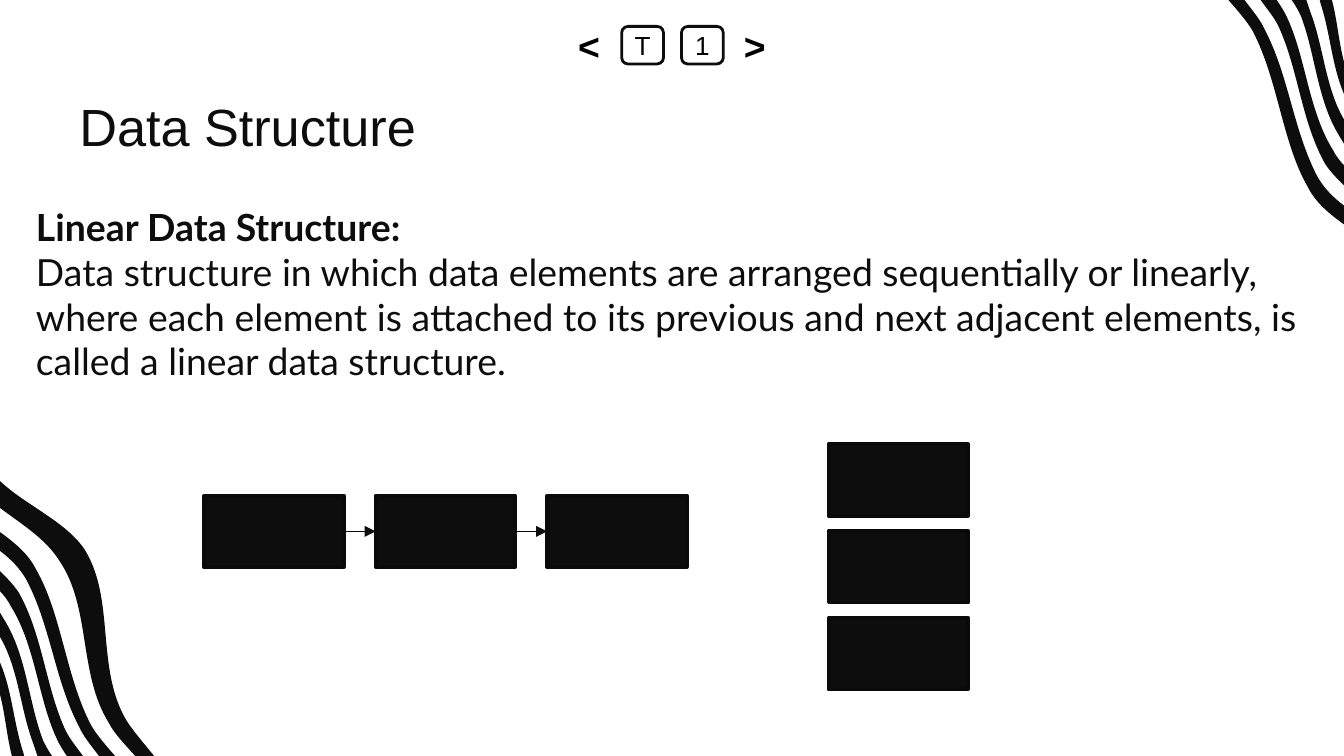
"""Build the linear data structure slide with wave corners and box diagrams."""
from lxml.etree import Element, SubElement
from pptx import Presentation
from pptx.dml.color import RGBColor
from pptx.enum.shapes import MSO_CONNECTOR, MSO_SHAPE
from pptx.enum.text import MSO_ANCHOR, PP_ALIGN
from pptx.oxml.ns import qn
from pptx.util import Cm, Pt

INK = "0D0D0D"
W, H = 1000, 563


def rgb(color):
    return RGBColor.from_string(color)


def curve(outline, lines):
    for i in range(0, len(lines), 3):
        bez = Element(qn("a:cubicBezTo"))
        lines[i].addprevious(bez)
        for ln in lines[i:i + 3]:
            bez.append(ln[0])
            outline.remove(ln)


prs = Presentation()
prs.slide_width, prs.slide_height = Cm(25.4), Cm(14.29)
s = prs.slides.add_slide(prs.slide_layouts[6])

waves = [
    ([(0, 378), (16, 390), (34, 401), (44, 417), (68, 452), (58, 501), (81, 538),
      (85, 546), (93, 554), (101, H)],
     [(115, H), (107, 553), (99, 544), (94, 536), (71, 497), (86, 446), (63, 409),
      (49, 388), (19, 376), (0, 358)]),
    ([(0, 410), (8, 416), (15, 423), (20, 432), (38, 467), (41, 507), (59, 541),
      (62, 548), (68, 555), (74, H)],
     [(86, H), (79, 555), (72, 547), (68, 540), (49, 504), (46, 457), (27, 424),
      (21, 412), (11, 404), (0, 396)]),
    ([(0, 440), (3, 443), (6, 447), (8, 451), (26, 480), (28, 517), (41, 547),
      (43, 552), (46, 557), (50, H)],
     [(62, H), (57, 556), (52, 550), (49, 544), (34, 512), (32, 473), (14, 441),
      (10, 435), (5, 430), (0, 425)]),
    ([(0, 474), (14, 498), (15, 528), (25, 554), (26, 557), (27, 560), (28, H)],
     [(39, H), (36, 559), (34, 555), (32, 551), (21, 522), (20, 488), (3, 461),
      (2, 459), (1, 458), (0, 456)]),
    ([(0, 517), (4, 532), (5, 548), (9, H)],
     [(18, H), (18, 561), (17, 560), (17, 559), (10, 537), (9, 514), (0, 493)]),
]
waves += [[[(W - x, H - y) for x, y in side] for side in wave] for wave in waves[1:]]
for lower, upper in waves:
    fb = s.shapes.build_freeform(*lower[0], scale=Cm(0.0254))
    fb.add_line_segments(lower[1:] + upper, close=True)
    sp = fb.convert_to_shape()
    outline = next(sp._element.iter(qn("a:path")))
    lines = outline.findall(qn("a:lnTo"))
    curve(outline, lines[:len(lower) - 1])
    curve(outline, lines[len(lower):])
    sp.shadow.inherit = False
    sp.fill.solid()
    sp.fill.fore_color.rgb = rgb(INK)
    sp.line.fill.background()

for left, label in ((10.74, "<"), (11.75, "T"), (12.88, "1"), (13.87, ">")):
    sp = s.shapes.add_shape(MSO_SHAPE.ROUNDED_RECTANGLE, Cm(left), Cm(0.5), Cm(0.79), Cm(0.71))
    sp.shadow.inherit = False
    sp.fill.solid()
    sp.fill.fore_color.rgb = rgb("FFFFFF")
    arrow = label in "<>"
    if arrow:
        sp.line.fill.background()
    else:
        sp.line.color.rgb = rgb(INK)
        sp.line.width = Pt(1.5)
    tf = sp.text_frame
    tf.margin_left = tf.margin_right = tf.margin_top = tf.margin_bottom = 0
    tf.vertical_anchor = MSO_ANCHOR.MIDDLE
    p = tf.paragraphs[0]
    p.text = label
    p.alignment = PP_ALIGN.CENTER
    p.font.name, p.font.size, p.font.bold = "Arial", Pt(20 if arrow else 14), arrow
    p.font.color.rgb = rgb("000000")

title = ["Data Structure"]
body = [
    "Linear Data Structure:",
    "Data structure in which data elements are arranged sequentially or linearly, where each "
    "element is attached to its previous and next adjacent elements, is called a linear data "
    "structure.",
]
for box, texts, font, size, spacing, anchor in (
    ((1.25, 1.68, 20.55, 1.6), title, "Arial", 28, 0.8, MSO_ANCHOR.MIDDLE),
    ((0.43, 3.61, 24.71, 3.89), body, "Lato", 20, None, MSO_ANCHOR.TOP),
):
    tf = s.shapes.add_textbox(*map(Cm, box)).text_frame
    tf.word_wrap = True
    tf.vertical_anchor = anchor
    tf.margin_left = tf.margin_right = tf.margin_top = tf.margin_bottom = Cm(0.25)
    for i, text in enumerate(texts):
        p = tf.add_paragraph() if i else tf.paragraphs[0]
        p.text = text
        p.line_spacing = spacing
        p.font.name, p.font.size = font, Pt(size)
        p.font.bold = text.endswith(":")
        p.font.color.rgb = rgb(INK)

row = [(3.86 + 3.24 * i, 9.37) for i in range(3)]
column = [(15.66, 8.4 + 1.64 * i) for i in range(3)]
nodes = []
for left, top in row + column:
    sp = s.shapes.add_shape(MSO_SHAPE.RECTANGLE, Cm(left), Cm(top), Cm(2.64), Cm(1.35))
    sp.shadow.inherit = False
    sp.fill.solid()
    sp.fill.fore_color.rgb = rgb(INK)
    sp.line.color.rgb = rgb("0A0A0A")
    sp.line.width = Pt(2)
    nodes.append(sp)

for a, b in zip(nodes[:2], nodes[1:3]):
    cx = s.shapes.add_connector(MSO_CONNECTOR.STRAIGHT, 0, 0, 0, 0)
    cx.begin_connect(a, 3)
    cx.end_connect(b, 1)
    cx.line.color.rgb = rgb(INK)
    cx.line.width = Pt(0.75)
    SubElement(cx.line._get_or_add_ln(), qn("a:tailEnd"), type="triangle")
    SubElement(cx._element.spPr, qn("a:effectLst"))

prs.save("out.pptx")
